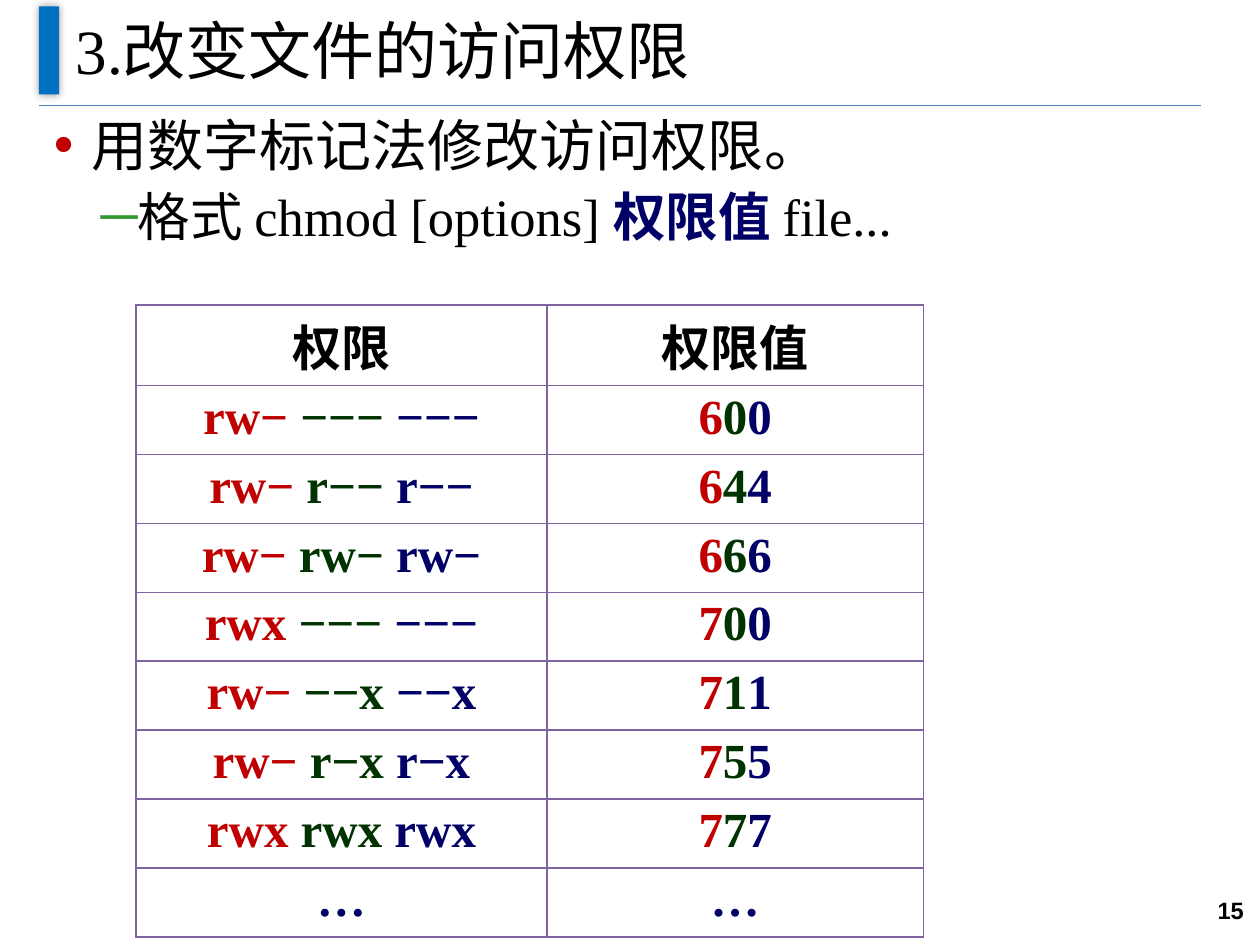
from lxml import etree
from pptx import Presentation
from pptx import util as u
from pptx.dml.color import RGBColor
from pptx.enum import shapes, text
from pptx.oxml import ns

COLORS = {
    "black": "000000",
    "bar": "0070C0",
    "rule": "4B7EBC",
    "border": "8064A2",
    "user": "C00000",
    "group": "003300",
    "other": "000066",
    "dash": "339933",
}
SERIF = "Times New Roman"
CLASSES = ("user", "group", "other")
MODES = [
    ("rw− −−− −−−", "600"),
    ("rw− r−− r−−", "644"),
    ("rw− rw− rw−", "666"),
    ("rwx −−− −−−", "700"),
    ("rw− −−x −−x", "711"),
    ("rw− r−x r−x", "755"),
    ("rwx rwx rwx", "777"),
]


def color(name):
    return RGBColor.from_string(COLORS[name])


def add_xml(parent, tag, **attributes):
    element = etree.SubElement(parent, ns.qn(tag))
    for key, value in attributes.items():
        element.set(key, str(value))
    return element


def style(para, size, name=SERIF, bold=False):
    para.font.size = u.Pt(size)
    para.font.name = name
    para.font.bold = bold
    para.font.color.rgb = color("black")


def add_spans(para, spans):
    for words, tint in spans:
        span = para.add_run()
        span.text = words
        span.font.color.rgb = color(tint)


def add_bullet(para, mark, tint, margin, indent):
    properties = para._p.get_or_add_pPr()
    properties.set("marL", str(u.Inches(margin)))
    properties.set("indent", str(u.Inches(indent)))
    bullet_color = add_xml(properties, "a:buClr")
    add_xml(bullet_color, "a:srgbClr", val=COLORS[tint])
    add_xml(properties, "a:buFont", typeface="Arial")
    add_xml(properties, "a:buChar", char=mark)


def add_heading(page, left, top, width, height):
    rule = page.shapes.add_connector(
        shapes.MSO_CONNECTOR.STRAIGHT,
        u.Inches(0.31), u.Inches(0.84), u.Inches(9.53), u.Inches(0.84))
    rule.line.color.rgb = color("rule")
    rule.line.width = u.Pt(0.75)
    add_xml(rule._element.spPr, "a:effectLst")

    bar = page.shapes.add_shape(
        shapes.MSO_SHAPE.RECTANGLE,
        u.Inches(0.31), u.Inches(0.05), u.Inches(0.16), u.Inches(0.7))
    bar.fill.solid()
    bar.fill.fore_color.rgb = color("bar")
    bar.line.fill.background()
    bar.shadow.inherit = False
    effects = bar._element.spPr.find(ns.qn("a:effectLst"))
    shadow = add_xml(effects, "a:outerShdw", blurRad=u.Pt(5), dist=0, dir=0)
    shade = add_xml(shadow, "a:srgbClr", val=COLORS["black"])
    add_xml(shade, "a:alpha", val=40000)

    title = page.shapes.title
    title.left, title.top = u.Inches(left), u.Inches(top)
    title.width, title.height = u.Inches(width), u.Inches(height)
    title.text_frame.text = "3.改变文件的访问权限"
    title.text_frame.vertical_anchor = text.MSO_ANCHOR.MIDDLE
    para = title.text_frame.paragraphs[0]
    para.alignment = text.PP_ALIGN.LEFT
    style(para, 36)


def add_syntax(page, left, top, width, height):
    box = page.shapes.add_textbox(
        u.Inches(left), u.Inches(top), u.Inches(width), u.Inches(height))
    frame = box.text_frame
    frame.word_wrap = True
    method, usage = frame.paragraphs[0], frame.add_paragraph()
    usage.level = 1
    usage.space_before = u.Pt(4.5)
    for para in (method, usage):
        para.alignment = text.PP_ALIGN.JUSTIFY
        para.line_spacing = 0.85
        para.space_after = u.Pt(4.5)
    add_bullet(method, "•", "user", 0.3, -0.3)
    add_bullet(usage, "─", "dash", 0.66, -0.29)
    style(method, 32)
    style(usage, 30)
    add_spans(method, [("用数字标记法修改访问权限。", "black")])
    add_spans(usage, [("格式 chmod [options] ", "black"),
                      ("权限值 ", "other"), ("file...", "black")])
    usage.runs[1].font.bold = True


def add_borders(cell):
    properties = cell._tc.get_or_add_tcPr()
    for position, side in enumerate(("a:lnL", "a:lnR", "a:lnT", "a:lnB")):
        line = etree.Element(ns.qn(side), w=str(u.Pt(1)))
        fill = add_xml(line, "a:solidFill")
        add_xml(fill, "a:srgbClr", val=COLORS["border"])
        properties.insert(position, line)


def fill_cell(cell, spans):
    cell.fill.background()
    add_borders(cell)
    cell.margin_left = cell.margin_right = u.Inches(0.08)
    cell.margin_top = cell.margin_bottom = u.Inches(0.04)
    para = cell.text_frame.paragraphs[0]
    para.alignment = text.PP_ALIGN.CENTER
    style(para, 28, bold=True)
    add_spans(para, spans)


def mode_spans(mode, value):
    groups = mode.split()
    words = [group + " " for group in groups[:-1]] + groups[-1:]
    return list(zip(words, CLASSES)), list(zip(value, CLASSES))


def add_mode_table(page, left, top, width, height):
    rows = [([("权限", "black")], [("权限值", "black")])]
    rows += [mode_spans(mode, value) for mode, value in MODES]
    rows.append(([("…", "other")], [("…", "other")]))
    table = page.shapes.add_table(
        len(rows), 2, u.Inches(left), u.Inches(top),
        u.Inches(width), u.Inches(height)).table
    table.horz_banding = False
    table.columns[0].width = u.Inches(3.26)
    table.columns[1].width = u.Inches(width - 3.26)
    for index, row in enumerate(rows):
        table.rows[index].height = u.Inches(0.51 if index else 0.64)
        for column, spans in enumerate(row):
            fill_cell(table.cell(index, column), spans)


def add_page_number(page, left, top, width, height):
    box = page.shapes.add_textbox(
        u.Inches(left), u.Inches(top), u.Inches(width), u.Inches(height))
    frame = box.text_frame
    frame.word_wrap = True
    frame.vertical_anchor = text.MSO_ANCHOR.MIDDLE
    frame.text = "15"
    frame.paragraphs[0].alignment = text.PP_ALIGN.RIGHT
    style(frame.paragraphs[0], 13.5, "Arial", True)


def main():
    deck = Presentation()
    deck.slide_width, deck.slide_height = u.Inches(10), u.Inches(7.5)
    page = deck.slides.add_slide(deck.slide_layouts[5])
    add_heading(page, 0.5, -0.03, 9, 0.84)
    add_syntax(page, 0.33, 0.91, 9.18, 1.4)
    add_page_number(page, 9.04, 6.95, 0.93, 0.55)
    add_mode_table(page, 1.08, 2.42, 6.25, 4.72)
    deck.save("out.pptx")


if __name__ == "__main__":
    main()
